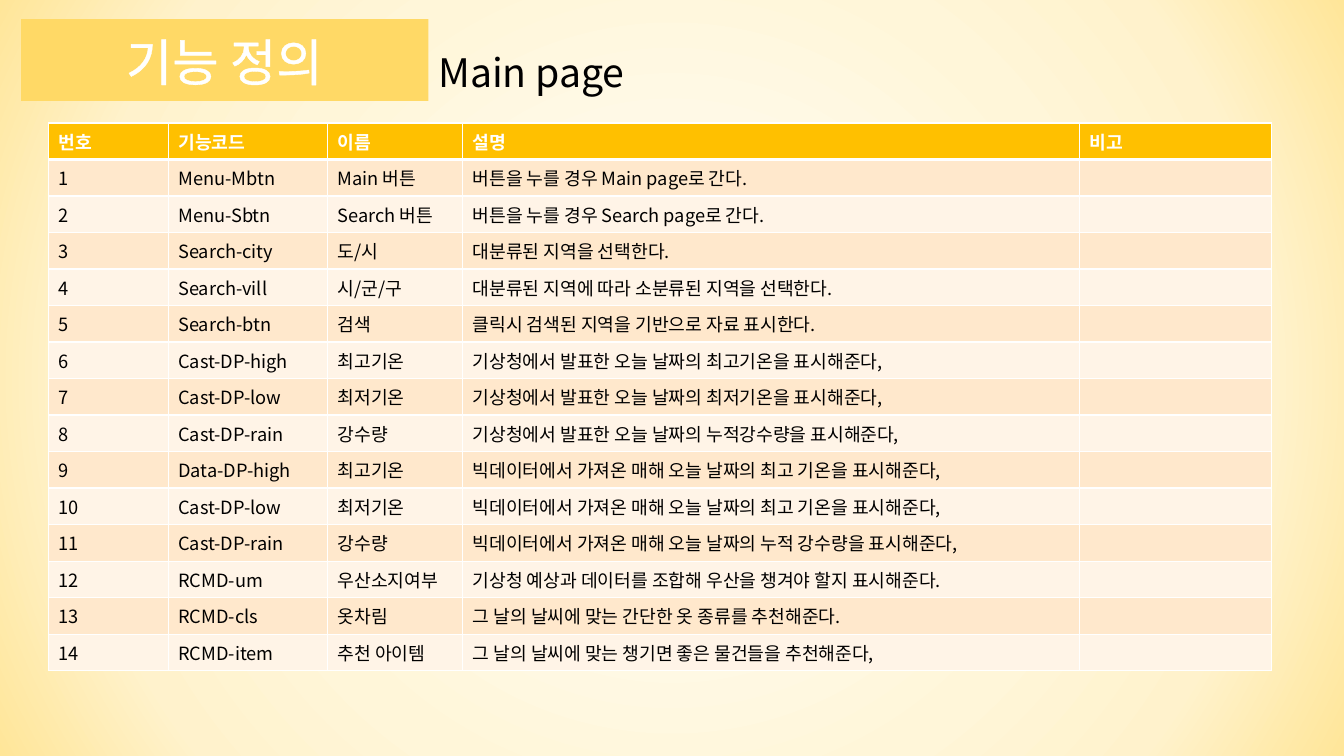
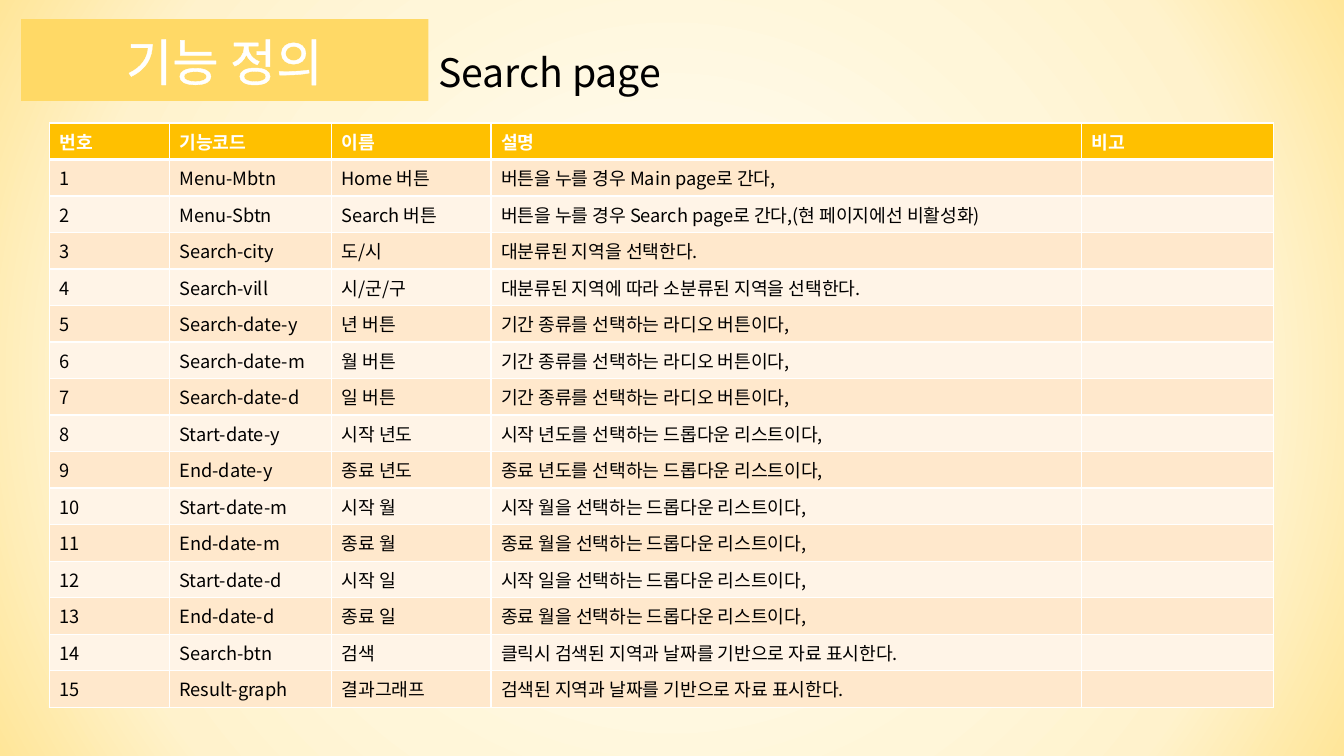
from lxml import etree
from pptx import Presentation
from pptx.dml.color import RGBColor
from pptx.enum.shapes import MSO_SHAPE
from pptx.enum.text import MSO_ANCHOR, MSO_AUTO_SIZE, PP_ALIGN
from pptx.oxml import parse_xml
from pptx.oxml.ns import nsdecls, qn
from pptx.util import Inches, Pt

RECTANGLE = MSO_SHAPE.RECTANGLE
MIDDLE = MSO_ANCHOR.MIDDLE
NO_AUTOFIT = MSO_AUTO_SIZE.NONE
LEFT, CENTER = PP_ALIGN.LEFT, PP_ALIGN.CENTER

FONT = "Noto Sans CJK KR"
COLORS = {
    "title_band": "FFD966",
    "header": "FFC000",
    "odd_row": "FFE8CC",
    "even_row": "FFF4E7",
    "light": "FFFFFF",
    "dark": "000000",
}
BACKGROUND_STOPS = [(10, "FFFFFF"), (33, "FFF9E6"), (56, "FFF6D9"), (78, "FFF2CC"), (100, "FFE699")]

FORMATS = {
    "title": {"size": Pt(36), "color": "light", "bold": False},
    "page": {"size": Pt(28), "color": "dark", "bold": False},
    "header": {"size": Pt(13), "color": "light", "bold": True},
    "body": {"size": Pt(13), "color": "dark", "bold": False},
}

BAND_BOX = (0.21, 0.19, 4.04, 0.81)
TITLE_BOX = (0.42, 0.25, 3.61, 0.71)
PAGE_BOX = (4.25, 0.43, 3.46, 0.57)
TABLE_TOP = 1.22
ROW_HEIGHT = 0.3625
THIN_BORDER, THICK_BORDER = Pt(1), Pt(3)

TITLE = "기능 정의"
HEADERS = ["번호", "기능코드", "이름", "설명", "비고"]
AREA_ROWS = [
    ("Search-city", "도/시", "대분류된 지역을 선택한다."),
    ("Search-vill", "시/군/구", "대분류된 지역에 따라 소분류된 지역을 선택한다."),
]
PAGES = [
    {
        "name": "Main page",
        "left": 0.48,
        "columns": [1.19, 1.58, 1.34, 6.12, 1.9],
        "rows": [
            ("Menu-Mbtn", "Main 버튼", "버튼을 누를 경우 Main page로 간다."),
            ("Menu-Sbtn", "Search 버튼", "버튼을 누를 경우 Search page로 간다."),
            *AREA_ROWS,
            ("Search-btn", "검색", "클릭시 검색된 지역을 기반으로 자료 표시한다."),
            ("Cast-DP-high", "최고기온", "기상청에서 발표한 오늘 날짜의 최고기온을 표시해준다,"),
            ("Cast-DP-low", "최저기온", "기상청에서 발표한 오늘 날짜의 최저기온을 표시해준다,"),
            ("Cast-DP-rain", "강수량", "기상청에서 발표한 오늘 날짜의 누적강수량을 표시해준다,"),
            ("Data-DP-high", "최고기온", "빅데이터에서 가져온 매해 오늘 날짜의 최고 기온을 표시해준다,"),
            ("Cast-DP-low", "최저기온", "빅데이터에서 가져온 매해 오늘 날짜의 최고 기온을 표시해준다,"),
            ("Cast-DP-rain", "강수량", "빅데이터에서 가져온 매해 오늘 날짜의 누적 강수량을 표시해준다,"),
            ("RCMD-um", "우산소지여부", "기상청 예상과 데이터를 조합해 우산을 챙겨야 할지 표시해준다."),
            ("RCMD-cls", "옷차림", "그 날의 날씨에 맞는 간단한 옷 종류를 추천해준다."),
            ("RCMD-item", "추천 아이템", "그 날의 날씨에 맞는 챙기면 좋은 물건들을 추천해준다,"),
        ],
    },
    {
        "name": "Search page",
        "left": 0.49,
        "columns": [1.19, 1.61, 1.58, 5.86, 1.9],
        "rows": [
            ("Menu-Mbtn", "Home 버튼", "버튼을 누를 경우 Main page로 간다,"),
            ("Menu-Sbtn", "Search 버튼", "버튼을 누를 경우 Search page로 간다,(현 페이지에선 비활성화)"),
            *AREA_ROWS,
            ("Search-date-y", "년 버튼", "기간 종류를 선택하는 라디오 버튼이다,"),
            ("Search-date-m", "월 버튼", "기간 종류를 선택하는 라디오 버튼이다,"),
            ("Search-date-d", "일 버튼", "기간 종류를 선택하는 라디오 버튼이다,"),
            ("Start-date-y", "시작 년도", "시작 년도를 선택하는 드롭다운 리스트이다,"),
            ("End-date-y", "종료 년도", "종료 년도를 선택하는 드롭다운 리스트이다,"),
            ("Start-date-m", "시작 월", "시작 월을 선택하는 드롭다운 리스트이다,"),
            ("End-date-m", "종료 월", "종료 월을 선택하는 드롭다운 리스트이다,"),
            ("Start-date-d", "시작 일", "시작 일을 선택하는 드롭다운 리스트이다,"),
            ("End-date-d", "종료 일", "종료 월을 선택하는 드롭다운 리스트이다,"),
            ("Search-btn", "검색", "클릭시 검색된 지역과 날짜를 기반으로 자료 표시한다."),
            ("Result-graph", "결과그래프", "검색된 지역과 날짜를 기반으로 자료 표시한다."),
        ],
    },
]


def inches(box):
    return [Inches(length) for length in box]


def paint(fill, color):
    fill.solid()
    fill.fore_color.rgb = RGBColor.from_string(COLORS[color])


def write(text_frame, text, format_name, alignment=LEFT):
    paragraph = text_frame.paragraphs[0]
    paragraph.alignment = alignment
    run = paragraph.add_run()
    run.text = text
    values = FORMATS[format_name]
    for name, value in {"name": FONT, "size": values["size"], "bold": values["bold"]}.items():
        setattr(run.font, name, value)
    run.font.color.rgb = RGBColor.from_string(COLORS[values["color"]])


def line_xml(tag, width):
    return parse_xml(
        f'<a:{tag} {nsdecls("a")} w="{int(width)}"><a:solidFill>'
        f'<a:srgbClr val="{COLORS["light"]}"/></a:solidFill></a:{tag}>'
    )


def set_background(master):
    master.background.fill.solid()
    properties = master.element.find(".//" + qn("p:bgPr"))
    stops = "".join(
        f'<a:gs pos="{position * 1000}"><a:srgbClr val="{color}"/></a:gs>'
        for position, color in BACKGROUND_STOPS
    )
    gradient = parse_xml(
        f'<a:gradFill {nsdecls("a")} rotWithShape="1"><a:gsLst>{stops}</a:gsLst><a:path path="circle">'
        '<a:fillToRect l="50000" t="50000" r="50000" b="50000"/></a:path></a:gradFill>'
    )
    properties.replace(properties[0], gradient)


def place_text(shape, text, format_name, alignment):
    frame = shape.text_frame
    frame.word_wrap = True
    frame.auto_size = NO_AUTOFIT
    frame.vertical_anchor = MIDDLE
    write(frame, text, format_name, alignment)


def add_heading(slide, page_name):
    title = slide.shapes.title
    title.left, title.top, title.width, title.height = inches(TITLE_BOX)
    place_text(title, TITLE, "title", CENTER)
    title.element.find(".//" + qn("a:rPr")).insert(0, line_xml("ln", Pt(0.75)))

    band = slide.shapes.add_shape(RECTANGLE, *inches(BAND_BOX))
    band.shadow.inherit = False
    paint(band.fill, "title_band")
    band.line.fill.background()
    title.element.addprevious(band.element)

    place_text(slide.shapes.add_textbox(*inches(PAGE_BOX)), page_name, "page", LEFT)


def set_borders(table_frame):
    for row_index, row in enumerate(table_frame.element.iter(qn("a:tr"))):
        widths = {
            "lnL": THIN_BORDER,
            "lnR": THIN_BORDER,
            "lnT": THICK_BORDER if row_index == 1 else THIN_BORDER,
            "lnB": THICK_BORDER if row_index == 0 else THIN_BORDER,
        }
        for properties in row.iter(qn("a:tcPr")):
            for position, (side, width) in enumerate(widths.items()):
                properties.insert(position, line_xml(side, width))


def add_function_table(slide, page):
    numbered = [(str(number), *row, "") for number, row in enumerate(page["rows"], 1)]
    rows = [HEADERS, *numbered]
    box = (page["left"], TABLE_TOP, sum(page["columns"]), ROW_HEIGHT * len(rows))
    table_frame = slide.shapes.add_table(len(rows), len(HEADERS), *inches(box))
    table = table_frame.table
    for column, width in zip(table.columns, page["columns"]):
        column.width = Inches(width)
    for row_index, values in enumerate(rows):
        table.rows[row_index].height = Inches(ROW_HEIGHT)
        is_header = row_index == 0
        color = "header" if is_header else "odd_row" if row_index % 2 else "even_row"
        for column_index, value in enumerate(values):
            cell = table.cell(row_index, column_index)
            paint(cell.fill, color)
            if value:
                write(cell.text_frame, value, "header" if is_header else "body")
    set_borders(table_frame)
    # Empty cells need the body size too, or they stretch their rows.
    for paragraph in table_frame.element.iter(qn("a:p")):
        if paragraph.find(qn("a:r")) is None:
            size = str(int(FORMATS["body"]["size"].pt * 100))
            etree.SubElement(paragraph, qn("a:endParaRPr"), sz=size)


def set_east_asian_font(slide):
    for latin in list(slide.element.iter(qn("a:latin"))):
        latin.addnext(parse_xml(f'<a:ea {nsdecls("a")} typeface="{FONT}"/>'))


def main():
    presentation = Presentation()
    presentation.slide_width, presentation.slide_height = Inches(13.33), Inches(7.5)
    set_background(presentation.slide_master)
    title_only = presentation.slide_layouts.get_by_name("Title Only")
    for page in PAGES:
        slide = presentation.slides.add_slide(title_only)
        add_heading(slide, page["name"])
        add_function_table(slide, page)
        set_east_asian_font(slide)
    presentation.save("out.pptx")


if __name__ == "__main__":
    main()
